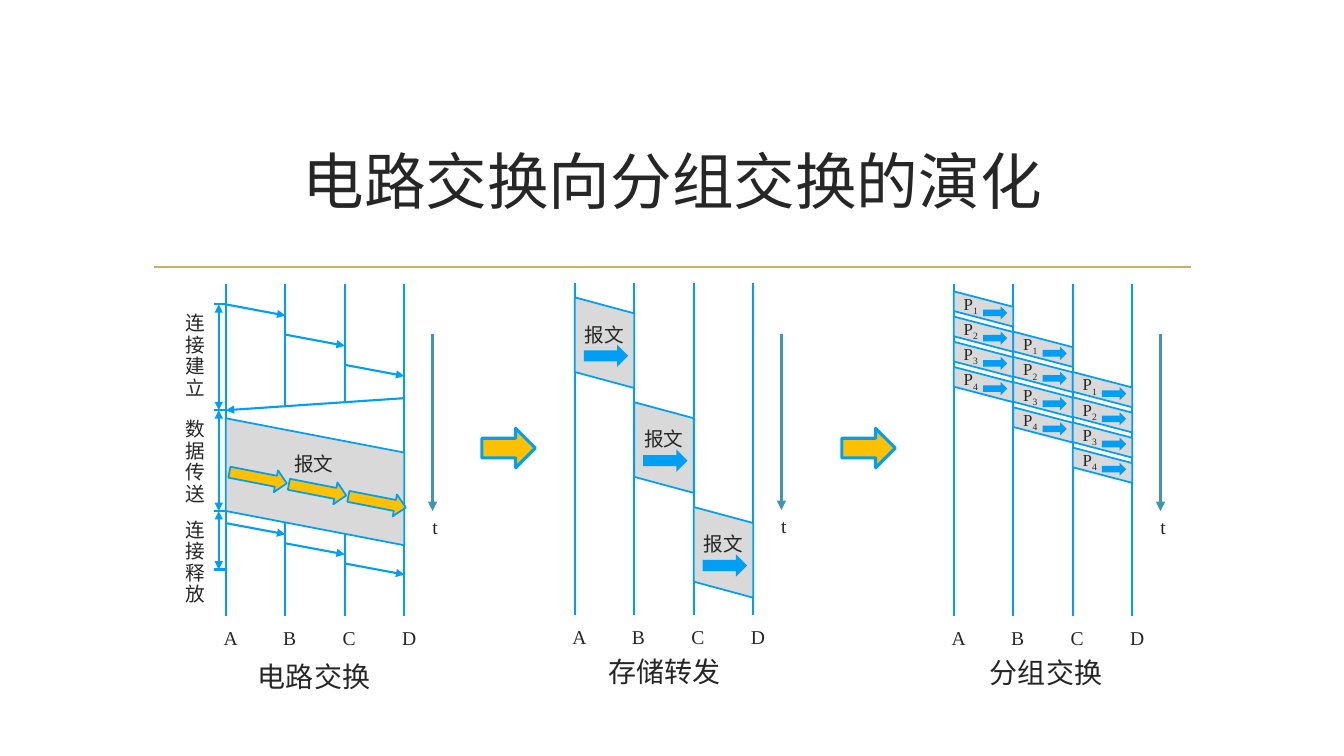
from lxml import etree
from pptx import Presentation
from pptx.dml.color import RGBColor
from pptx.enum.shapes import MSO_CONNECTOR as Line, MSO_SHAPE as Shape
from pptx.enum.text import MSO_ANCHOR as Anchor, PP_ALIGN as Align
from pptx.oxml.ns import qn
from pptx.util import Inches, Pt

# Content
TITLE = "电路交换向分组交换的演化"
CIRCUIT, STORE, PACKET = "电路交换", "存储转发", "分组交换"
PHASES = ["连接建立", "数据传送", "连接释放"]
NODES = ["A", "B", "C", "D"]
MESSAGE, TIME = "报文", "t"
PACKETS = ["1", "2", "3", "4"]

# Style
BLUE = RGBColor(0x00, 0x9F, 0xF6)
TEAL = RGBColor(0x40, 0x96, 0xB0)
GOLD = RGBColor(0xCB, 0xAF, 0x62)
AMBER = RGBColor(0xFF, 0xC0, 0x00)
GRAY = RGBColor(0xD9, 0xD9, 0xD9)
INK = RGBColor(0x26, 0x26, 0x26)
LATIN, HAN = "Times New Roman", "Noto Sans CJK SC"

# Layout in inches
HOP = 0.59
TOP, BOTTOM = 2.82, 6.11
PHASE_TIMES = [3.02, 4.07, 5.07, 5.65]
CIRCUIT_LINES = [[(TOP, BOTTOM)], [(TOP, 4.04), (5.17, BOTTOM)],
                 [(TOP, 3.98), (5.29, BOTTOM)], [(TOP, BOTTOM)]]
FULL_LINES = [[(TOP, BOTTOM)]] * len(NODES)


def add_span(para, text, size, font):
    span = para.add_run()
    span.text = text
    span.font.size = Pt(size)
    span.font.name = font
    span.font.color.rgb = INK
    east = etree.SubElement(span.font._element, qn("a:ea"))
    east.set("typeface", HAN)
    return span


def add_label(parts, text, left, top, width, height, size=14, font=LATIN,
              spacing=1.1, subscript=""):
    box = parts.add_textbox(Inches(left), Inches(top), Inches(width), Inches(height))
    box.text_frame.word_wrap = True
    para = box.text_frame.paragraphs[0]
    para.line_spacing = spacing
    add_span(para, text, size, font)
    if subscript:
        span = add_span(para, subscript, size, font)
        span.font._element.set("baseline", "-25000")


def add_line(parts, start, end, color=BLUE, width=1.5, arrows=()):
    line = parts.add_connector(Line.STRAIGHT, Inches(start[0]), Inches(start[1]),
                               Inches(end[0]), Inches(end[1]))
    line.line.color.rgb = color
    line.line.width = Pt(width)
    outline = line.line._get_or_add_ln()
    for arrow in arrows:
        etree.SubElement(outline, qn("a:" + arrow)).set("type", "triangle")
    etree.SubElement(line._element.spPr, qn("a:effectLst"))


def add_block(parts, kind, left, top, width, height, fill, outline=0,
              rotation=0, slant=None):
    block = parts.add_shape(kind, Inches(left), Inches(top), Inches(width), Inches(height))
    block.shadow.inherit = False
    block.rotation = rotation
    block.fill.solid()
    block.fill.fore_color.rgb = fill
    if outline:
        block.line.color.rgb = BLUE
        block.line.width = Pt(outline)
    else:
        block.line.fill.background()
    if slant is not None:
        block.adjustments[0] = slant


def add_band(parts, left, top, length, height, slant):
    """Slanted band from its upright bounds; the frame is turned by 90 degrees."""
    shift = (length - height) / 2
    add_block(parts, Shape.PARALLELOGRAM, left + shift, top - shift, height, length,
              GRAY, 1.25, 90, slant)


def add_panel(page, left, caption, caption_left, caption_top, node_lines, lift=0):
    """Node lines, node names, time axis and caption shared by the diagrams."""
    parts = page.shapes.add_group_shape().shapes
    for column, (name, pieces) in enumerate(zip(NODES, node_lines)):
        x = left + column * HOP
        for start, end in pieces:
            add_line(parts, (x, start - lift), (x, end - lift))
        add_label(parts, name, x - 0.12, 6.14 - lift, 0.3, 0.34)
    axis = left + 2.05
    add_line(parts, (axis, 3.31), (axis, 5.07 - lift), TEAL, 2.25, ["tailEnd"])
    add_label(parts, TIME, axis - 0.1, 5.04 - lift, 0.3, 0.34)
    add_label(parts, caption, caption_left, caption_top, 1.45, 0.47, 20, LATIN, Pt(27.5))
    return parts


def add_message(parts, left, top):
    add_label(parts, MESSAGE, left, top, 0.77, 0.35, 14, HAN, Pt(19))


def draw_circuit(page):
    left = 2.24
    parts = add_panel(page, left, CIRCUIT, 2.46, 6.45, CIRCUIT_LINES)
    add_line(parts, (left + 3 * HOP, 3.95), (left, 4.07), arrows=["tailEnd"])
    # Phases beside node A
    for time in PHASE_TIMES:
        add_line(parts, (left - 0.12, time), (left, time))
    for phase, start, end in zip(PHASES, PHASE_TIMES, PHASE_TIMES[1:]):
        add_line(parts, (2.17, start), (2.17, end), arrows=["headEnd", "tailEnd"])
        add_label(parts, phase, 1.74, start + 0.04, 0.45, 0.95, 14, HAN, Pt(15.3))
    # Message band, then set-up and release signals with the data arrows
    add_band(parts, left, 4.15, 3 * HOP, 1.26, 0.27)
    add_message(parts, 2.82, 4.4)
    for hop in range(3):
        x = left + hop * HOP
        for y in (3.02 + hop * 0.3, 5.19 + hop * 0.2):
            add_line(parts, (x, y), (x + HOP, y + 0.11), arrows=["tailEnd"])
        add_block(parts, Shape.RIGHT_ARROW, x + 0.03, 4.63 + hop * 0.12, 0.58, 0.22,
                  AMBER, 1.25, 11)


def draw_store(page):
    left = 5.7
    parts = add_panel(page, left, STORE, 5.94, 6.4, FULL_LINES, lift=0.01)
    for hop in range(3):
        x, y = left + hop * HOP, 2.95 + hop * 1.04
        add_band(parts, x, y, HOP, 0.9, 0.27)
        add_message(parts, x, y + 0.17)
        add_block(parts, Shape.RIGHT_ARROW, x + 0.09, y + 0.47, 0.44, 0.22, BLUE)


def draw_packets(page):
    left = 9.46
    parts = add_panel(page, left, PACKET, 9.72, 6.41, FULL_LINES)
    for hop in range(3):
        for row, number in enumerate(PACKETS):
            x, y = left + hop * HOP, 2.89 + hop * 0.4 + row * 0.25
            add_band(parts, x, y, HOP, 0.35, 0.44)
            add_block(parts, Shape.RIGHT_ARROW, x + 0.29, y + 0.15, 0.24, 0.13, BLUE)
            add_label(parts, "P", x, y - 0.05, 0.45, 0.31, 12, subscript=number)


def main():
    deck = Presentation()
    deck.slide_width, deck.slide_height = Inches(13.33), Inches(7.5)
    page = deck.slides.add_slide(deck.slide_layouts[5])

    # Title and rule
    title = page.shapes.title
    title.left, title.top = Inches(1.42), Inches(1.07)
    title.width, title.height = Inches(10.5), Inches(1.43)
    title.text_frame.vertical_anchor = Anchor.MIDDLE
    para = title.text_frame.paragraphs[0]
    para.alignment = Align.CENTER
    add_span(para, TITLE, 44, HAN)
    add_line(page.shapes, (1.53, 2.65), (11.81, 2.65), GOLD, 1.25)

    # Diagrams and the arrows between them
    draw_packets(page)
    draw_circuit(page)
    draw_store(page)
    for left in (4.78, 8.35):
        add_block(page.shapes, Shape.RIGHT_ARROW, left, 4.25, 0.53, 0.39, AMBER, 2.25)

    deck.save("out.pptx")


if __name__ == "__main__":
    main()
